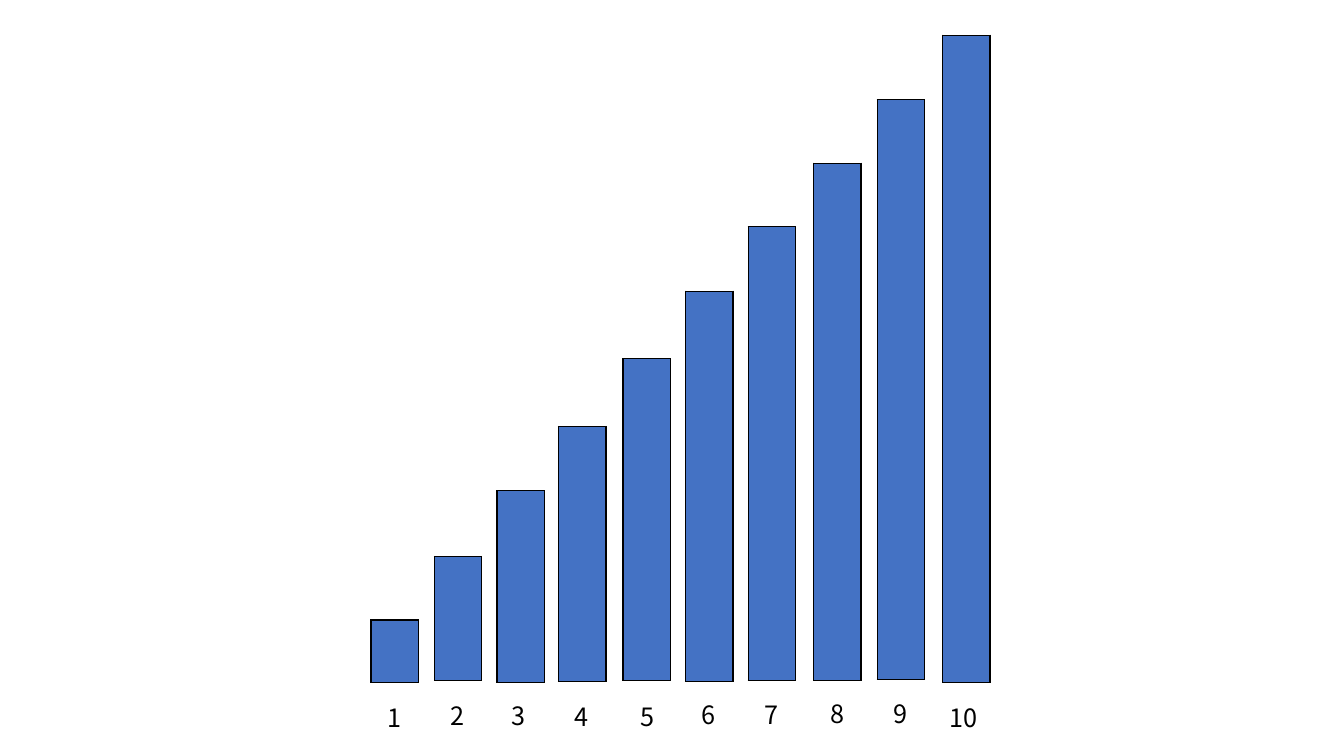
import pptx
import pptx.dml.color
import pptx.enum.text
import pptx.oxml
import pptx.oxml.ns
import pptx.util
from pptx.util import Inches

BLUE = pptx.dml.color.RGBColor(0x44, 0x72, 0xC4)
BLACK = pptx.dml.color.RGBColor(0, 0, 0)
FONT = "Noto Sans CJK KR"
BAR_WIDTH = 0.47
PLAIN_STYLE = "{2D5ABB26-0587-4C30-8999-92F81FD0307C}"

# Per bar: left, top, height, label left, label top
BARS = [
    (3.68, 6.15, 0.62, 3.75, 6.92),
    (4.31, 5.52, 1.23, 4.37, 6.90),
    (4.93, 4.87, 1.90, 4.98, 6.90),
    (5.54, 4.23, 2.53, 5.60, 6.91),
    (6.18, 3.56, 3.19, 6.25, 6.91),
    (6.80, 2.89, 3.87, 6.86, 6.89),
    (7.42, 2.25, 4.50, 7.48, 6.89),
    (8.07, 1.62, 5.13, 8.14, 6.88),
    (8.70, 0.99, 5.75, 8.76, 6.88),
    (9.35, 0.35, 6.42, 9.32, 6.92),
]


def add_border(cell, side):
    """Draw a 1 pt line on one side: L, R, T or B."""
    line = pptx.oxml.parse_xml(
        f'<a:ln{side} {pptx.oxml.ns.nsdecls("a")} w="{pptx.util.Pt(1)}">'
        f'<a:solidFill><a:srgbClr val="{BLACK}"/></a:solidFill></a:ln{side}>'
    )
    cell._tc.get_or_add_tcPr().append(line)


def add_bar(slide, count, left, top, height):
    """Add a one-column table with a row per unit and an outer outline."""
    frame = slide.shapes.add_table(
        count, 1, Inches(left), Inches(top), Inches(BAR_WIDTH), Inches(height)
    )
    bar = frame.table
    bar.first_row = bar.horz_banding = False
    bar._tbl.tblPr.find(pptx.oxml.ns.qn("a:tableStyleId")).text = PLAIN_STYLE
    for row in range(count):
        unit = bar.cell(row, 0)
        sides = "LR" + "T" * (row == 0) + "B" * (row == count - 1)
        for side in sides:
            add_border(unit, side)
        unit.fill.solid()
        unit.fill.fore_color.rgb = BLUE


def add_text(slide, text, *, left, top, width, height=0.4, size=18, color=BLACK):
    box = slide.shapes.add_textbox(
        Inches(left), Inches(top), Inches(width), Inches(height)
    )
    frame = box.text_frame
    frame.word_wrap = True
    frame.auto_size = pptx.enum.text.MSO_AUTO_SIZE.SHAPE_TO_FIT_TEXT
    run = frame.paragraphs[0].add_run()
    run.text = text
    run.font.name = FONT
    run.font.size = pptx.util.Pt(size)
    run.font.color.rgb = color


def main():
    deck = pptx.Presentation()
    deck.slide_width = Inches(13.33)
    deck.slide_height = Inches(7.5)
    slide = deck.slides.add_slide(deck.slide_layouts[6])

    # Staircase of bars, each with its number below
    for count, (left, top, height, label_left, label_top) in enumerate(BARS, 1):
        add_bar(slide, count, left, top, height)
        label_width = 0.34 if count < 10 else 0.56
        add_text(slide, str(count), left=label_left, top=label_top, width=label_width)

    deck.save("out.pptx")


if __name__ == "__main__":
    main()
